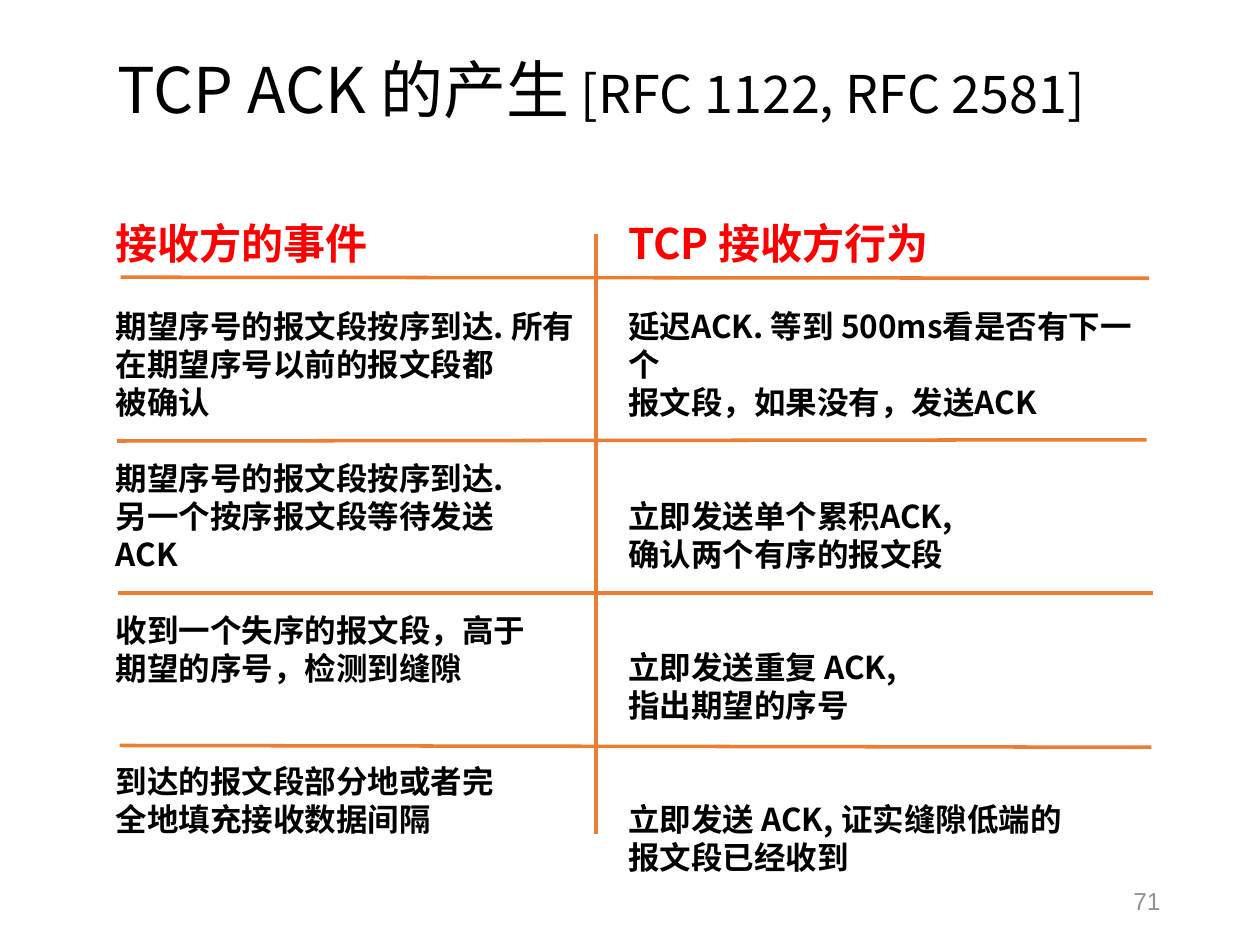
from lxml.etree import SubElement
from pptx import Presentation
from pptx.dml.color import RGBColor
from pptx.enum.shapes import MSO_CONNECTOR
from pptx.enum.text import MSO_ANCHOR, PP_ALIGN
from pptx.oxml.ns import qn
from pptx.util import Pt

COLORS = {"text": "000000", "heading": "FF0000", "rule": "ED7D31", "number": "919293"}
FONT = "Noto Sans CJK SC"
BODY_PITCH = 21.7
HEADING_PITCH = 28.8


def add_span(para, text, size=18, color="text", bold=False, font=FONT):
    span = para.add_run()
    span.text = text
    span.font.size = Pt(size)
    span.font.bold = bold
    span.font.name = font
    span.font.color.rgb = RGBColor.from_string(COLORS[color])
    properties = span._r.get_or_add_rPr()
    SubElement(properties, qn("a:ea")).set("typeface", font)


def add_box(page, left, top, width, height, anchor=MSO_ANCHOR.TOP):
    box = page.shapes.add_textbox(Pt(left), Pt(top), Pt(width), Pt(height))
    box.text_frame.word_wrap = True
    box.text_frame.vertical_anchor = anchor
    return box.text_frame


deck = Presentation()
deck.slide_width, deck.slide_height = Pt(720), Pt(540)
page = deck.slides.add_slide(deck.slide_layouts[6])

title = add_box(page, 60, 20, 581, 70, MSO_ANCHOR.MIDDLE).paragraphs[0]
title.line_spacing = Pt(34)
add_span(title, "TCP ACK 的产生", size=36)
add_span(title, " [RFC 1122, RFC 2581]", size=29.7)

number = add_box(page, 508.3, 500.4, 162, 28.8, MSO_ANCHOR.MIDDLE).paragraphs[0]
number.alignment = PP_ALIGN.RIGHT
add_span(number, "71", size=14, color="number", font="Arial")

columns = [
    (59, 286, "接收方的事件", [
        (1, ["期望序号的报文段按序到达. 所有", "在期望序号以前的报文段都", "被确认"]),
        (1, ["期望序号的报文段按序到达.", "另一个按序报文段等待发送", "ACK"]),
        (1, ["收到一个失序的报文段，高于", "期望的序号，检测到缝隙"]),
        (2, ["到达的报文段部分地或者完", "全地填充接收数据间隔"]),
    ]),
    (352, 314, "TCP 接收方行为", [
        (1, ["延迟ACK. 等到 500ms看是否有下一个", "报文段，如果没有，发送ACK"]),
        (2, ["立即发送单个累积ACK,", "确认两个有序的报文段"]),
        (2, ["立即发送重复 ACK,", "指出期望的序号"]),
        (2, ["立即发送 ACK, 证实缝隙低端的", "报文段已经收到"]),
    ]),
]
for left, width, heading, entries in columns:
    frame = add_box(page, left, 121, width, 403)
    para = frame.paragraphs[0]
    para.line_spacing = Pt(HEADING_PITCH)
    add_span(para, heading, size=24, color="heading", bold=True)
    for gap_lines, lines in entries:
        for index, line in enumerate(lines):
            para = frame.add_paragraph()
            para.line_spacing = Pt(BODY_PITCH)
            if index == 0:
                para.space_before = Pt(gap_lines * BODY_PITCH)
            add_span(para, line, bold=True)

rules = [
    (69, 158.4, 656.6, 159),
    (67, 252, 655.2, 251.3),
    (67.5, 339, 658.8, 339),
    (68.4, 426, 658, 427),
    (340.5, 134, 340.5, 476.6),
]
for start_x, start_y, end_x, end_y in rules:
    rule = page.shapes.add_connector(
        MSO_CONNECTOR.STRAIGHT, Pt(start_x), Pt(start_y), Pt(end_x), Pt(end_y))
    rule.line.color.rgb = RGBColor.from_string(COLORS["rule"])
    rule.line.width = Pt(2)
    SubElement(rule._element.spPr, qn("a:effectLst"))

deck.save("out.pptx")
